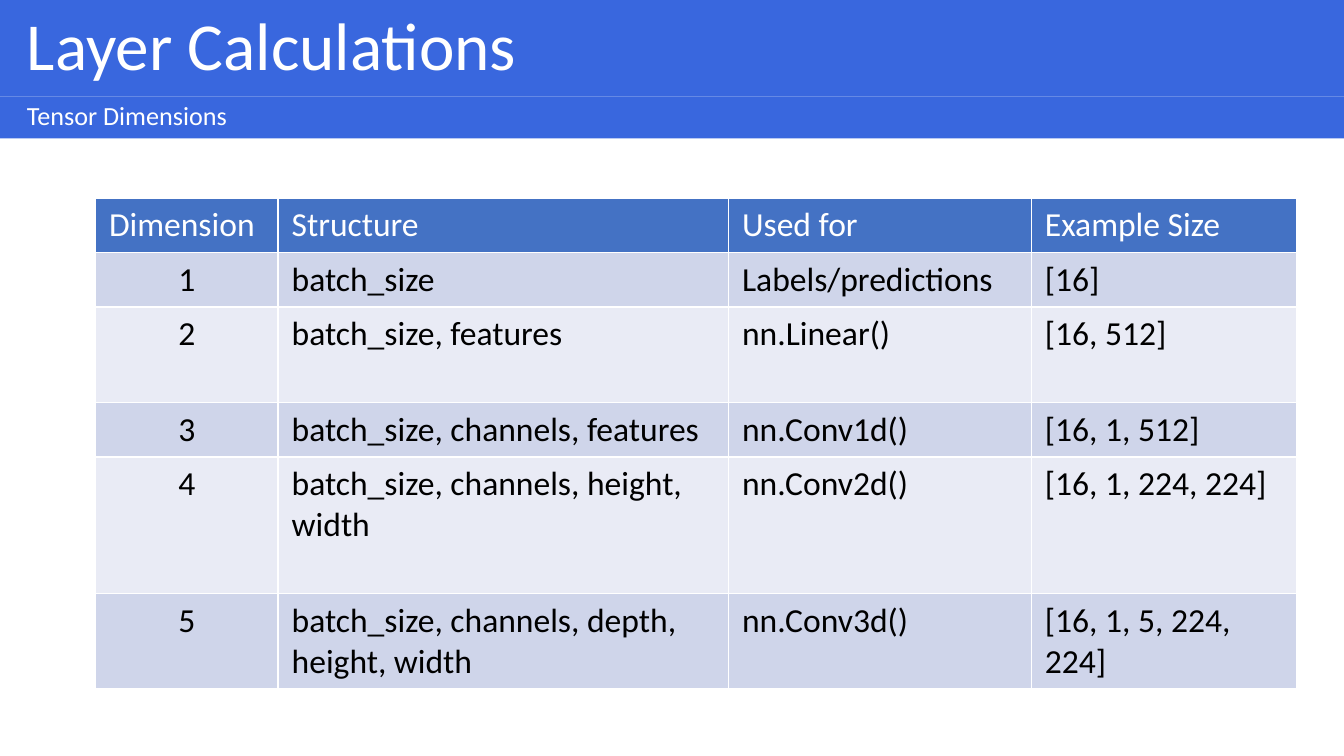
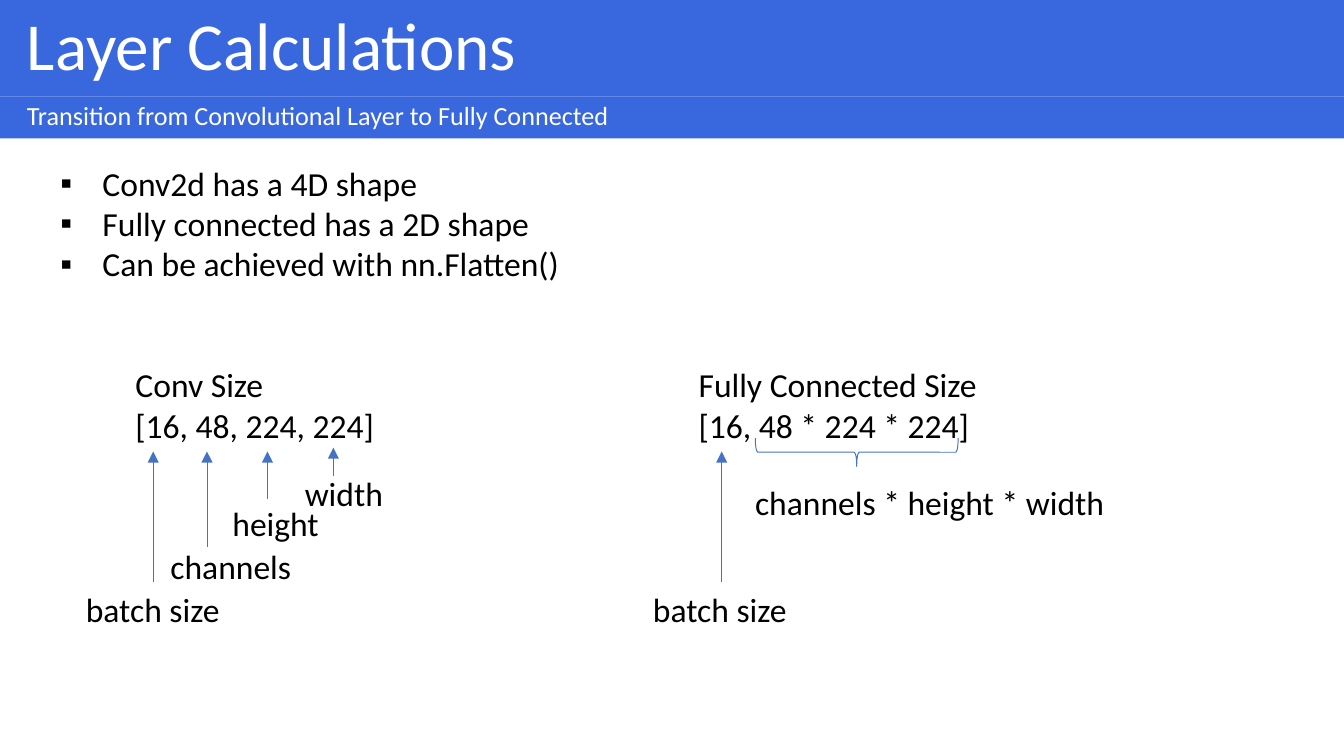
from lxml import etree
from pptx import Presentation
from pptx import util as u
from pptx.dml.color import RGBColor
from pptx.enum import shapes, text
from pptx.oxml import ns

HUES = {"band": "3967DE", "white": "FFFFFF", "ink": "000000",
        "head": "4472C4", "odd": "CFD5EA", "even": "E9EBF5"}
FONT = "Calibri"
BANDS = [(0, 51.8, 36), (51.8, 22.3, 14)]  # top, height, text size
FRAME = {"margin_left": u.Pt(14.4), "margin_right": u.Pt(7.2),
         "margin_top": u.Pt(3.6), "margin_bottom": u.Pt(3.6),
         "word_wrap": True, "auto_size": text.MSO_AUTO_SIZE.NONE,
         "vertical_anchor": text.MSO_ANCHOR.MIDDLE}
LIST = {**FRAME, "margin_left": u.Pt(7.2),
        "vertical_anchor": text.MSO_ANCHOR.TOP}
LABEL = {"word_wrap": False, "auto_size": text.MSO_AUTO_SIZE.SHAPE_TO_FIT_TEXT}
HEADING = {"line_spacing": 0.9, "space_before": u.Pt(10),
           "alignment": text.PP_ALIGN.LEFT}
PLAIN = {"line_spacing": 1.0, "space_before": u.Pt(0)}


def pts(*vals):
    """Turn numbers into point lengths."""
    return [u.Pt(v) for v in vals]


def put(item, vals):
    """Set every attribute named in a dict."""
    for key, val in vals.items():
        setattr(item, key, val)


def hue(name):
    """Give a palette colour."""
    return RGBColor.from_string(HUES[name])


def sub(node, tag, **vals):
    """Add a drawing element to an XML node."""
    return etree.SubElement(node, ns.qn(tag), vals)


class Deck:
    """Holds the style and the current slide."""

    def __init__(self):
        """Start a wide deck."""
        self.prs = Presentation()
        put(self.prs, {"slide_width": u.Pt(720), "slide_height": u.Pt(405)})
        self.page = None

    def words(self, frame, lines, size=18, ink="ink", para=None, bold=None):
        """Fill a text frame, one paragraph a line."""
        frame.text = "\n".join(lines)
        for p in frame.paragraphs:
            put(p, para or {})
            put(p.font, {"name": FONT, "size": u.Pt(size), "bold": bold})
            p.font.color.rgb = hue(ink)

    def place(self, item, box):
        """Move a shape to left, top, width, height."""
        put(item, dict(zip(("left", "top", "width", "height"), pts(*box))))

    def start(self, layout, title, note):
        """Add a slide with its two title bands."""
        self.page = self.prs.slides.add_slide(self.prs.slide_layouts[layout])
        holds = self.page.placeholders
        for hold, line, (top, high, size) in zip(
                (holds[0], holds[1]), (title, note), BANDS):
            self.place(hold, (0, top, 720, high))
            hold.fill.solid()
            hold.fill.fore_color.rgb = hue("band")
            put(hold.text_frame, FRAME)
            self.words(hold.text_frame, [line], size, "white", HEADING)
            ppr = hold.text_frame.paragraphs[0]._p.get_or_add_pPr()
            self.bullet(ppr, 0)
            sub(ppr, "a:buNone")

    def bullet(self, ppr, hang):
        """Set the hanging indent of a paragraph."""
        ppr.set("marL", str(u.Pt(hang)))
        ppr.set("indent", str(-u.Pt(hang)))

    def points(self, box, lines):
        """Fill the second body placeholder with a square-bullet list."""
        hold = self.page.placeholders[2]
        self.place(hold, box)
        put(hold.text_frame, LIST)
        self.words(hold.text_frame, lines, para=PLAIN)
        for p in hold.text_frame.paragraphs:
            ppr = p._p.get_or_add_pPr()
            self.bullet(ppr, 22.5)
            sub(ppr, "a:buFont", typeface="Arial")
            sub(ppr, "a:buChar", char="▪")

    def table(self, left, top, wides, highs, rows):
        """Add a banded table with a centred first column."""
        grid = self.page.shapes.add_table(
            len(rows), len(wides),
            *pts(left, top, sum(wides), sum(highs))).table
        for col, wide in zip(grid.columns, wides):
            col.width = u.Pt(wide)
        for r, (row, high) in enumerate(zip(rows, highs)):
            grid.rows[r].height = u.Pt(high)
            fill = ("odd" if r % 2 else "even") if r else "head"
            for c, word in enumerate(row):
                cell = grid.cell(r, c)
                cell.fill.solid()
                cell.fill.fore_color.rgb = hue(fill)
                mid = r > 0 and c == 0
                para = {"alignment": text.PP_ALIGN.CENTER} if mid else None
                self.words(cell.text_frame, [word], 18,
                           "ink" if r else "white", para, False)

    def label(self, box, *lines):
        """Add a text box that does not wrap."""
        item = self.page.shapes.add_textbox(*pts(*box))
        put(item.text_frame, LABEL)
        self.words(item.text_frame, lines)

    def stroke(self, item):
        """Give a shape the thin blue line."""
        item.line.color.rgb = hue("head")
        item.line.width = u.Pt(0.5)

    def arrow(self, x, low, high):
        """Add an arrow that points up."""
        item = self.page.shapes.add_connector(
            shapes.MSO_CONNECTOR.STRAIGHT, *pts(x, low, x, high))
        self.stroke(item)
        spot = item._element.spPr
        sub(spot.find(ns.qn("a:ln")), "a:tailEnd", type="triangle")
        sub(spot, "a:effectLst")

    def brace(self, box):
        """Add a brace that opens upward."""
        item = self.page.shapes.add_shape(
            shapes.MSO_SHAPE.RIGHT_BRACE, *pts(*box))
        item.rotation = 90
        item.shadow.inherit = False
        item.fill.background()
        self.stroke(item)


deck = Deck()
deck.start(1, "Layer Calculations", "Tensor Dimensions")
deck.table(51.2, 106, (97.9, 241.3, 162.2, 142.3),
           (29.2, 29.2, 51.2, 29.2, 73.2, 50.8), [
    ("Dimension", "Structure", "Used for", "Example Size"),
    ("1", "batch_size", "Labels/predictions", "[16]"),
    ("2", "batch_size, features", "nn.Linear()", "[16, 512]"),
    ("3", "batch_size, channels, features", "nn.Conv1d()", "[16, 1, 512]"),
    ("4", "batch_size, channels, height, width", "nn.Conv2d()",
     "[16, 1, 224, 224]"),
    ("5", "batch_size, channels, depth, height, width", "nn.Conv3d()",
     "[16, 1, 5, 224, 224]"),
])

deck.start(3, "Layer Calculations",
           "Transition from Convolutional Layer to Fully Connected")
deck.points((25.2, 83.5, 664, 94.3), [
    "Conv2d has a 4D shape", "Fully connected has a 2D shape",
    "Can be achieved with nn.Flatten()"])
deck.label((65.5, 191.5, 144, 51), "Conv Size", "[16, 48, 224, 224]")
deck.label((367.2, 191.5, 163.4, 51),
           "Fully Connected Size", "[16, 48 * 224 * 224]")
# word, left, top, width, then arrow x, foot and tip
for word, left, top, wide, *line in [
        ("batch size", 38.9, 311.8, 87.1, 82.1, 311.8, 241.9),
        ("channels", 84.2, 288.7, 79.9, 110.9, 293, 241.9),
        ("height", 117.4, 265.7, 61.2, 143.3, 267.1, 241.9),
        ("width", 156.2, 249.8, 56.9, 178.6, 254.9, 239.8),
        ("batch size", 342.7, 311.8, 87.1, 386.6, 311.8, 241.9)]:
    deck.label((left, top, wide, 28.8), word)
    deck.arrow(*line)
deck.brace((451.4, 187.9, 15.1, 108.7))
deck.label((397.4, 254.9, 202.3, 28.8), "channels * height * width")

deck.prs.save("out.pptx")
